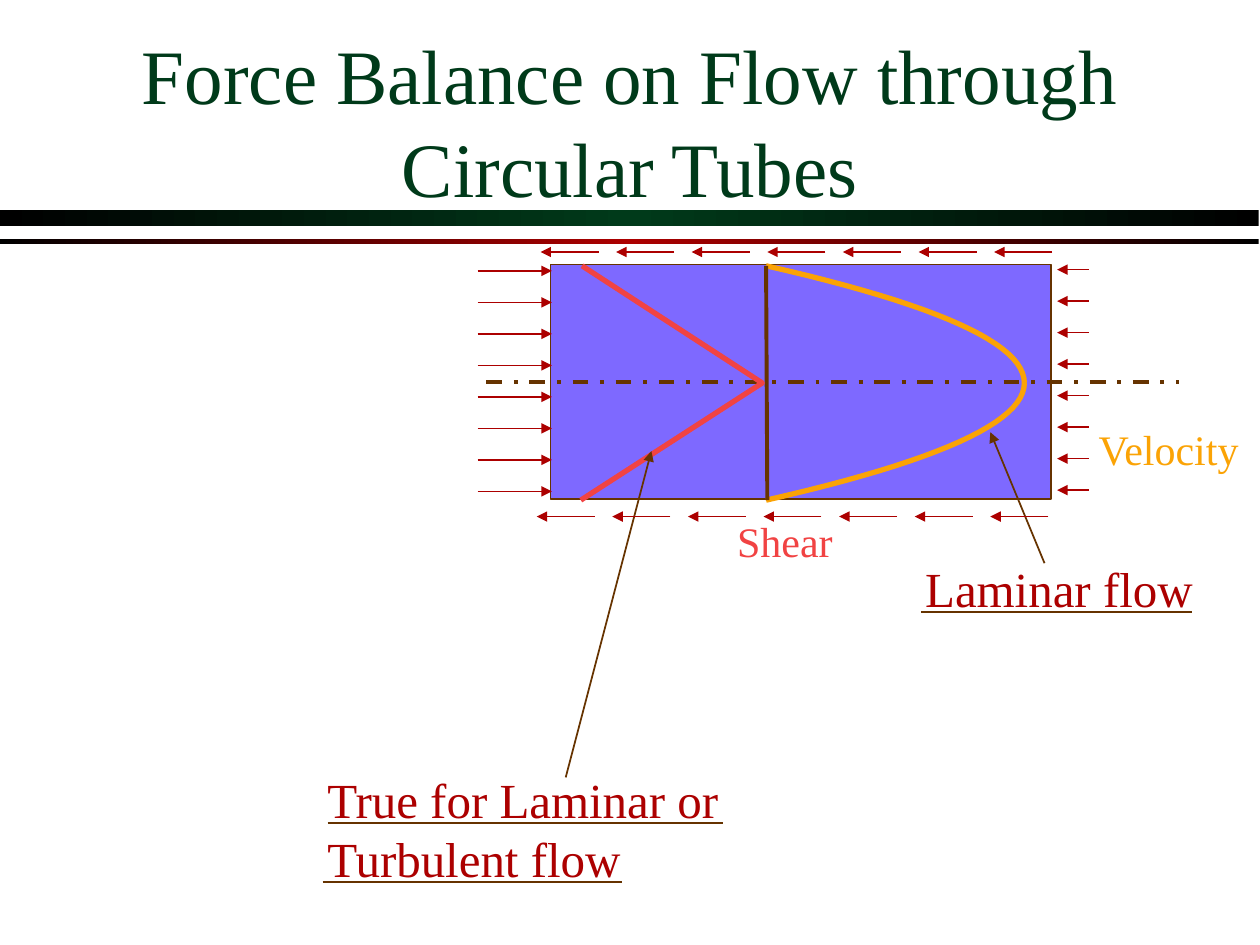
from lxml import etree
from pptx import Presentation
from pptx.dml.color import RGBColor
from pptx.enum.dml import MSO_LINE
from pptx.enum.shapes import MSO_CONNECTOR, MSO_SHAPE
from pptx.enum.text import MSO_ANCHOR, MSO_AUTO_SIZE, PP_ALIGN
from pptx.oxml import parse_xml
from pptx.oxml.ns import nsdecls, qn
from pptx.util import Inches, Pt

STRAIGHT = MSO_CONNECTOR.STRAIGHT
RECTANGLE = MSO_SHAPE.RECTANGLE
DASH_DOT = MSO_LINE.DASH_DOT
MIDDLE, TOP = MSO_ANCHOR.MIDDLE, MSO_ANCHOR.TOP
CENTER, LEFT = PP_ALIGN.CENTER, PP_ALIGN.LEFT
NO_AUTOFIT = MSO_AUTO_SIZE.NONE

FONT = "Times New Roman"
GREEN, RED, BROWN = "003A1A", "AC0000", "663300"
ORANGE, CORAL, VIOLET = "FBA305", "F14343", "7E69FF"
color = RGBColor.from_string

deck = Presentation()
deck.slide_width, deck.slide_height = Inches(10), Inches(7.5)
page = deck.slides.add_slide(deck.slide_layouts[5])


def add_line(start, end, line_color=BROWN, width=1, arrow=False):
    ends = [Inches(value) for value in (*start, *end)]
    line = page.shapes.add_connector(STRAIGHT, *ends)
    line.line.color.rgb = color(line_color)
    line.line.width = Pt(width)
    properties = line.element.spPr
    if arrow:
        outline = properties.find(qn("a:ln"))
        etree.SubElement(outline, qn("a:tailEnd"), type="triangle")
    etree.SubElement(properties, qn("a:effectLst"))
    return line


def add_curve(points, line_color):
    """Draw an open, unfilled 3 pt outline through points given in inches."""
    places = [(Inches(x), Inches(y)) for x, y in points]
    builder = page.shapes.build_freeform(*places[0])
    builder.add_line_segments(places[1:], close=False)
    curve = builder.convert_to_shape()
    curve.fill.background()
    curve.line.color.rgb = color(line_color)
    curve.line.width = Pt(3)
    curve.shadow.inherit = False


# Rules under the title, fading to black at both ends
for top, height, middle_color in [(1.67, 0.12, GREEN), (1.9, 0.04, RED)]:
    bar = page.shapes.add_shape(
        RECTANGLE, Inches(0), Inches(top), Inches(9.99), Inches(height))
    bar.fill.gradient()
    bar.fill.gradient_angle = 0
    stops = bar.element.spPr.find(qn("a:gradFill")).find(qn("a:gsLst"))
    for stop in list(stops):
        stops.remove(stop)
    for position, stop_color in [(0, "000000"), (50, middle_color), (100, "000000")]:
        stop = etree.SubElement(stops, qn("a:gs"), pos=str(position * 1000))
        etree.SubElement(stop, qn("a:srgbClr"), val=stop_color)
    bar.line.fill.background()
    bar.shadow.inherit = False

# Title
title = page.shapes.title
title.left, title.top = Inches(0.75), Inches(0.33)
title.width, title.height = Inches(8.5), Inches(1.25)
title.text_frame.text = "Force Balance on Flow through Circular Tubes"
title.text_frame.auto_size = NO_AUTOFIT
title.text_frame.vertical_anchor = MIDDLE
para = title.text_frame.paragraphs[0]
para.alignment = CENTER
span = para.runs[0]
span.font.name, span.font.size = FONT, Pt(44)
span.font.color.rgb = color(GREEN)
text_shadow = parse_xml(
    f'<a:effectLst {nsdecls("a")}><a:outerShdw dist="25400" dir="2700000">'
    '<a:srgbClr val="000000"/></a:outerShdw></a:effectLst>')
span.font.fill  # the shadow must follow the fill element
span.font._element.find(qn("a:solidFill")).addnext(text_shadow)

# Tube with its velocity and shear profiles
tube = page.shapes.add_shape(
    RECTANGLE, Inches(4.37), Inches(2.1), Inches(3.97), Inches(1.86))
tube.fill.solid()
tube.fill.fore_color.rgb = color(VIOLET)
tube.line.color.rgb = color(BROWN)
tube.line.width = Pt(1)
tube.shadow.inherit = False

AXIS, RADIUS, WALL, PEAK, STEPS = 3.04, 0.93, 6.08, 8.13, 24
for side in (1, -1):
    fractions = [step / STEPS for step in range(STEPS + 1)]
    add_curve([(PEAK - (PEAK - WALL) * part ** 2, AXIS + side * RADIUS * part)
               for part in fractions], ORANGE)
add_line((WALL, AXIS - RADIUS), (WALL + 0.01, AXIS + RADIUS), width=2.25)
add_line((3.86, 3.03), (9.36, 3.03), width=2.25).line.dash_style = DASH_DOT
add_curve([(4.61, AXIS + RADIUS), (6.05, AXIS), (4.62, AXIS - RADIUS)], CORAL)

# Labels
labels = [
    ("Velocity", 8.6, 3.31, 1.35, 0.5, 24, ORANGE, False),
    ("Shear", 5.75, 4.04, 0.96, 0.5, 24, CORAL, False),
    ("True for Laminar or Turbulent flow", 2.5, 6.06, 3.58, 1.03, 28, RED, True),
    ("Laminar flow", 7.24, 4.38, 2.33, 0.57, 28, RED, False),
]
for text, left, top, width, height, size, text_color, wraps in labels:
    box = page.shapes.add_textbox(
        Inches(left), Inches(top), Inches(width), Inches(height))
    frame = box.text_frame
    frame.word_wrap = wraps
    frame.vertical_anchor = TOP if wraps else MIDDLE
    para = frame.paragraphs[0]
    para.alignment = LEFT if wraps else CENTER
    span = para.add_run()
    span.text = text
    span.font.color.rgb = color(text_color)
    for name, value in {"name": FONT, "size": Pt(size)}.items():
        setattr(span.font, name, value)

# Underlines of the notes and pointers to the profiles
for left, right, y in [(2.6, 5.74, 6.53), (2.56, 4.94, 7), (7.31, 9.46, 4.86)]:
    add_line((left, y), (right, y))
add_line((4.49, 6.17), (5.17, 3.58), arrow=True)
add_line((8.29, 4.47), (7.86, 3.43), arrow=True)

# Pressure on the two ends of the tube
for tail, head, first_y in [(3.79, 4.38, 2.15), (8.64, 8.39, 2.14)]:
    for row in range(8):
        y = first_y + 0.25 * row
        add_line((tail, y), (head, y), RED, arrow=True)

# Wall shear along the bottom and the top
for first_x, y in [(8.32, 4.1), (8.35, 2)]:
    for column in range(7):
        x = first_x - 0.6 * column
        add_line((x, y), (x - 0.46, y), RED, arrow=True)

deck.save("out.pptx")
